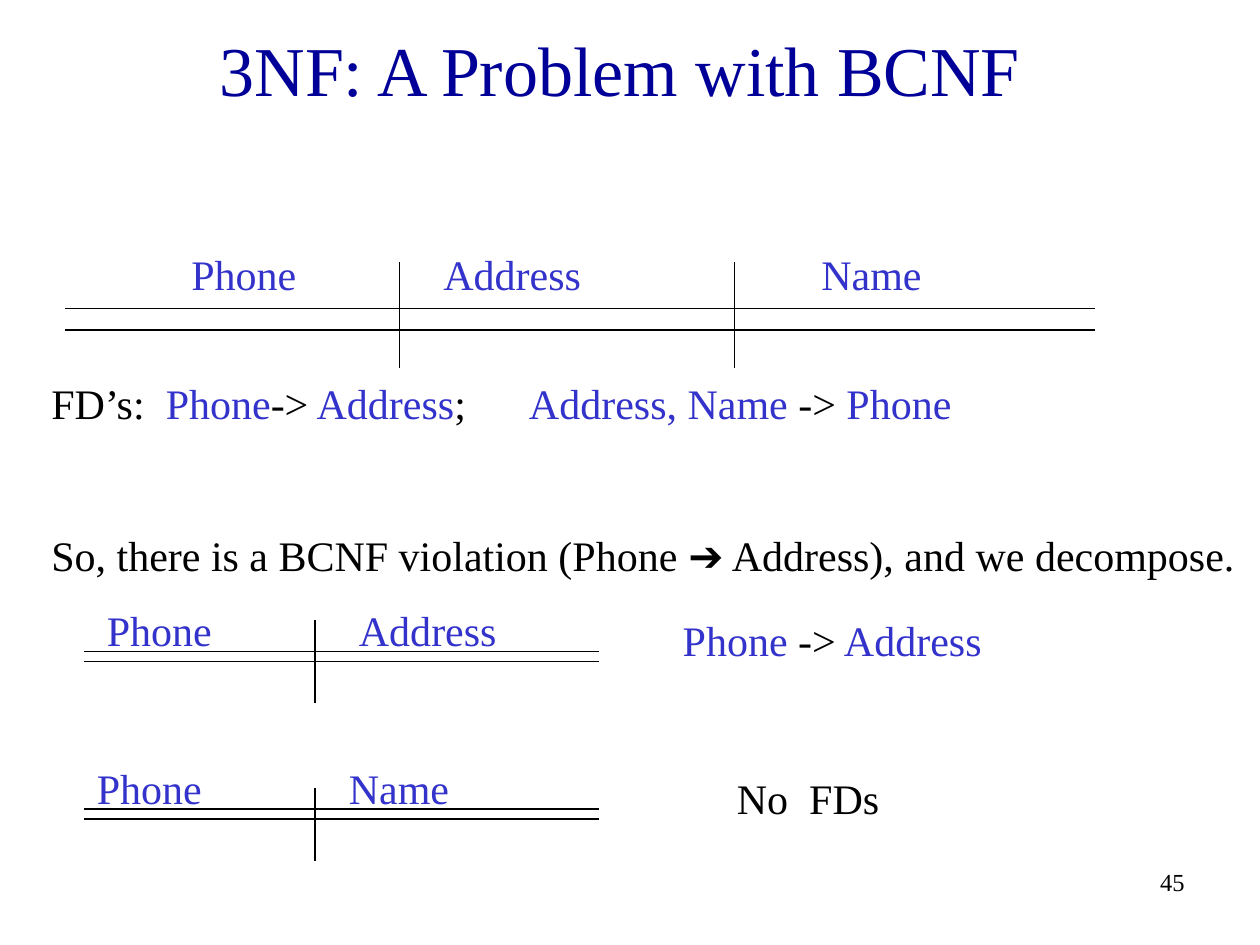
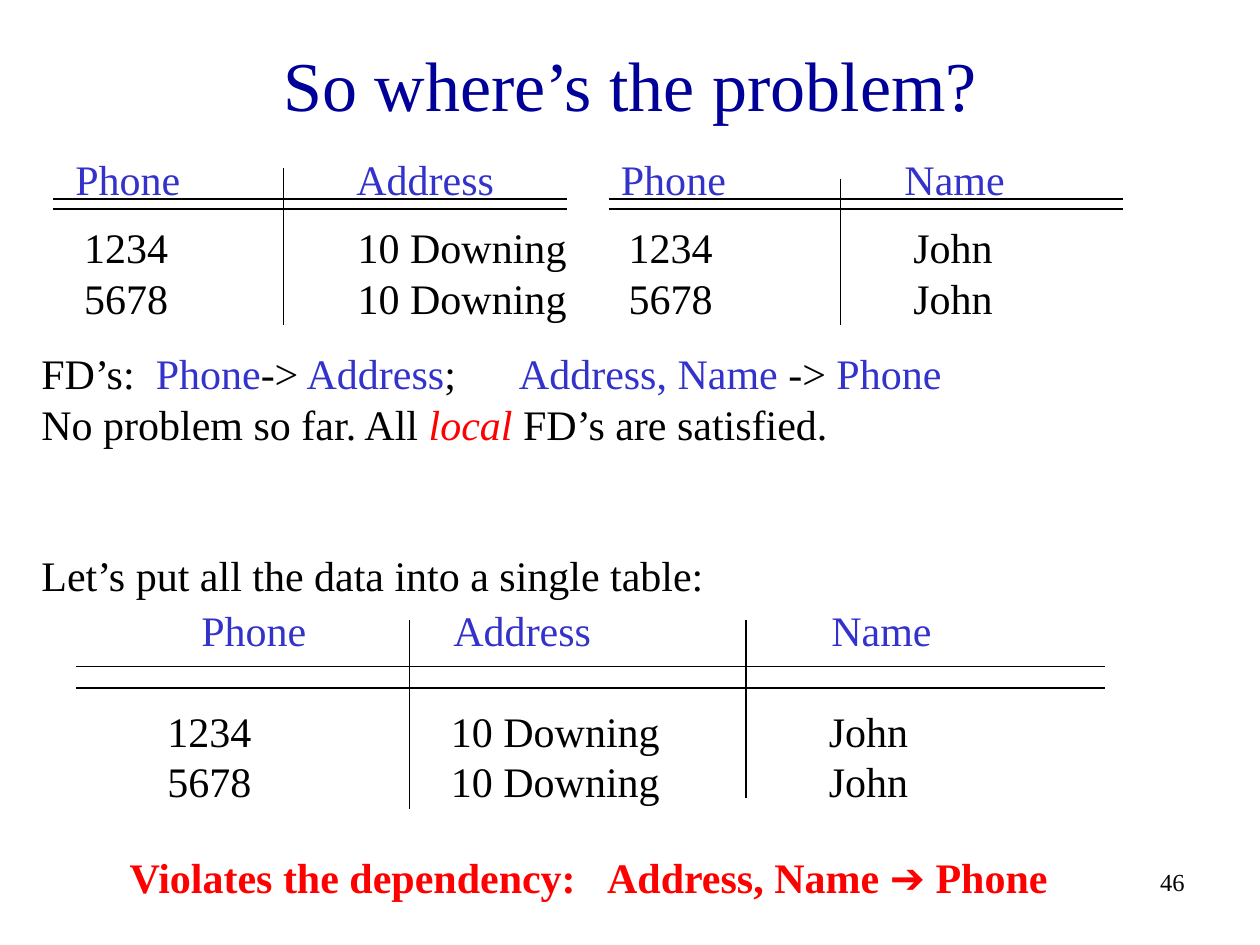
from lxml.etree import SubElement
from pptx import Presentation
from pptx.dml.color import RGBColor
from pptx.enum.shapes import MSO_CONNECTOR
from pptx.enum.text import MSO_ANCHOR, MSO_AUTO_SIZE, PP_ALIGN
from pptx.oxml.ns import qn
from pptx.util import Inches, Pt

# Shared look
SERIF, SANS = "Times New Roman", "Arial"
NAVY, BLUE, BLACK, RED = "000099", "3333CC", "000000", "FF0000"
SIZE, PITCH = 24, 28.8
FD_TAB = 3.79

# Shared wording: each run is text, colour and an optional style
ARROW = "➔"
LOCAL = [("Phone ", BLUE), ("->", BLACK), (" Address", BLUE)]
FDS = [("FD’s:  ", BLACK), ("Phone", BLUE), ("->", BLACK), (" Address", BLUE),
       (";\t", BLACK), ("Address, Name ", BLUE), ("->", BLACK),
       (" Phone", BLUE)]


def paint(color, value):
    color.rgb = RGBColor.from_string(value)


def style(font, size, color, bold=False):
    font.name = SERIF
    font.size = Pt(size)
    font.bold = bold
    paint(font.color, color)


def add_title(slide, text, box):
    title = slide.shapes.title
    title.left, title.top, title.width, title.height = map(Inches, box)
    frame = title.text_frame
    frame.text = text
    frame.auto_size = MSO_AUTO_SIZE.NONE
    frame.vertical_anchor = MSO_ANCHOR.MIDDLE
    line = frame.paragraphs[0]
    line.alignment = PP_ALIGN.CENTER
    style(line.font, 40, NAVY)


def add_frame(slide, left, top, width, height):
    box = slide.shapes.add_textbox(*map(Inches, (left, top, width, height)))
    box.text_frame.word_wrap = True
    return box.text_frame


def add_page(slide, number):
    line = add_frame(slide, 7.42, 6.83, 2.08, 0.5).paragraphs[0]
    line.text = str(number)
    line.alignment = PP_ALIGN.RIGHT
    style(line.font, 14, BLACK)


def set_tabs(line, tabs):
    stops = SubElement(line._p.get_or_add_pPr(), qn("a:tabLst"))
    for tab in tabs:
        SubElement(stops, qn("a:tab"), pos=str(Inches(tab)), algn="l")


def add_lines(slide, box, lines, tabs=(), gap=None, bold=False):
    """Write lines of runs; the line numbered gap stands two lines lower."""
    frame = add_frame(slide, *box)
    for index, runs in enumerate(lines):
        line = frame.add_paragraph() if index else frame.paragraphs[0]
        if tabs:
            set_tabs(line, tabs)
        line.line_spacing = Pt(PITCH)
        if index == gap:
            line.space_before = Pt(2 * PITCH)
        style(line.font, SIZE, runs[0][1], bold)
        for text, color, *kind in runs:
            run = line.add_run()
            run.text = text
            if color != runs[0][1]:
                paint(run.font.color, color)
            if "italic" in kind:
                run.font.italic = True
            if "sans" in kind:
                run.font.name = SANS


def add_rows(slide, box, rows, tabs, color=BLACK):
    add_lines(slide, box, [[("\t".join(row), color)] for row in rows], tabs)


def add_head(slide, box, names, tabs):
    add_rows(slide, box, [names], tabs, BLUE)


def add_rule(slide, x1, y1, x2, y2):
    rule = slide.shapes.add_connector(
        MSO_CONNECTOR.STRAIGHT, *map(Inches, (x1, y1, x2, y2)))
    paint(rule.line.color, BLACK)
    rule.line.width = Pt(0.75)
    SubElement(rule._element.spPr, qn("a:effectLst"))


def add_grid(slide, left, top, width, gap, posts):
    """Draw a double rule crossed by posts of (x, top, bottom)."""
    for y in (top, top + gap):
        add_rule(slide, left, y, left + width, y)
    for x, high, low in posts:
        add_rule(slide, x, high, x, low)


def add_small(slide, left, top, post):
    add_grid(slide, left, top, 4.08, 0.08, [post])


def add_wide(slide, left, top, posts):
    add_grid(slide, left, top, 8.17, 0.17, posts)


def show_split(slide):
    add_title(slide, "3NF: A Problem with BCNF", (0.17, 0.17, 9.5, 0.75))

    # Full relation and its dependencies
    add_wide(slide, 0.52, 2.45, [(3.17, 2.08, 2.92), (5.83, 2.08, 2.92)])
    add_head(slide, (1.42, 1.92, 6.05, 0.51),
             ["Phone", "Address", "Name"], [2, 5])
    add_lines(slide, (0.31, 2.95, 9.76, 1.72), [
        FDS,
        [("So, there is a BCNF violation (Phone ", BLACK),
         (ARROW, BLACK, "sans"),
         (" Address), and we decompose.", BLACK)],
    ], [FD_TAB], gap=1)

    # The two parts
    add_head(slide, (0.75, 4.75, 3.31, 0.5), ["Phone", "Address"], [2])
    add_small(slide, 0.67, 5.17, (2.5, 4.92, 5.58))
    add_lines(slide, (5.32, 4.83, 2.6, 0.5), [LOCAL])
    add_head(slide, (0.67, 6, 6.78, 0.5), ["Phone", "Name"], [2])
    add_small(slide, 0.67, 6.42, (2.5, 6.25, 6.83))
    add_lines(slide, (5.75, 6.08, 1.4, 0.5), [[("No  FDs", BLACK)]])


def show_issue(slide):
    add_title(slide, "So where’s the problem?", (0.75, 0.25, 8.5, 0.83))
    people = [("1234", "10 Downing", "John"), ("5678", "10 Downing", "John")]

    # The two parts side by side
    add_head(slide, (0.5, 1.17, 3.56, 0.51), ["Phone", "Address"], [2.23])
    add_head(slide, (4.83, 1.17, 4.83, 0.5), ["Phone", "Name"], [2.25])
    add_small(slide, 0.42, 1.58, (2.25, 1.33, 2.58))
    add_small(slide, 4.83, 1.58, (6.67, 1.42, 2.58))
    add_rows(slide, (0.57, 1.71, 7.7, 0.91),
             [(phone, home, phone, name) for phone, home, name in people],
             [2.17, 4.32, 6.58])
    add_lines(slide, (0.23, 2.71, 7.49, 2.12), [
        FDS,
        [("No problem so far. All ", BLACK), ("local", RED, "italic"),
         (" FD’s are satisfied.", BLACK)],
        [("Let’s put all the data into a single table:", BLACK)],
    ], [FD_TAB], gap=2)

    # The joined table
    add_wide(slide, 0.6, 5.29, [(3.25, 4.92, 6.42), (5.92, 4.92, 6.33)])
    add_head(slide, (1.5, 4.75, 6.05, 0.51),
             ["Phone", "Address", "Name"], [2, 5])
    add_rows(slide, (1.23, 5.55, 6.14, 0.91), people, [2.25, 5.25])

    # Verdict
    add_lines(slide, (0.93, 6.71, 7.73, 0.51), [
        [("Violates the dependency:\tAddress, Name ", RED),
         (ARROW, RED, "sans"), (" Phone", RED)],
    ], [FD_TAB], bold=True)


def main():
    deck = Presentation()
    deck.slide_width, deck.slide_height = Inches(10), Inches(7.5)
    for number, show in enumerate((show_split, show_issue), 45):
        slide = deck.slides.add_slide(deck.slide_layouts[5])
        add_page(slide, number)
        show(slide)
    deck.save("out.pptx")


if __name__ == "__main__":
    main()
